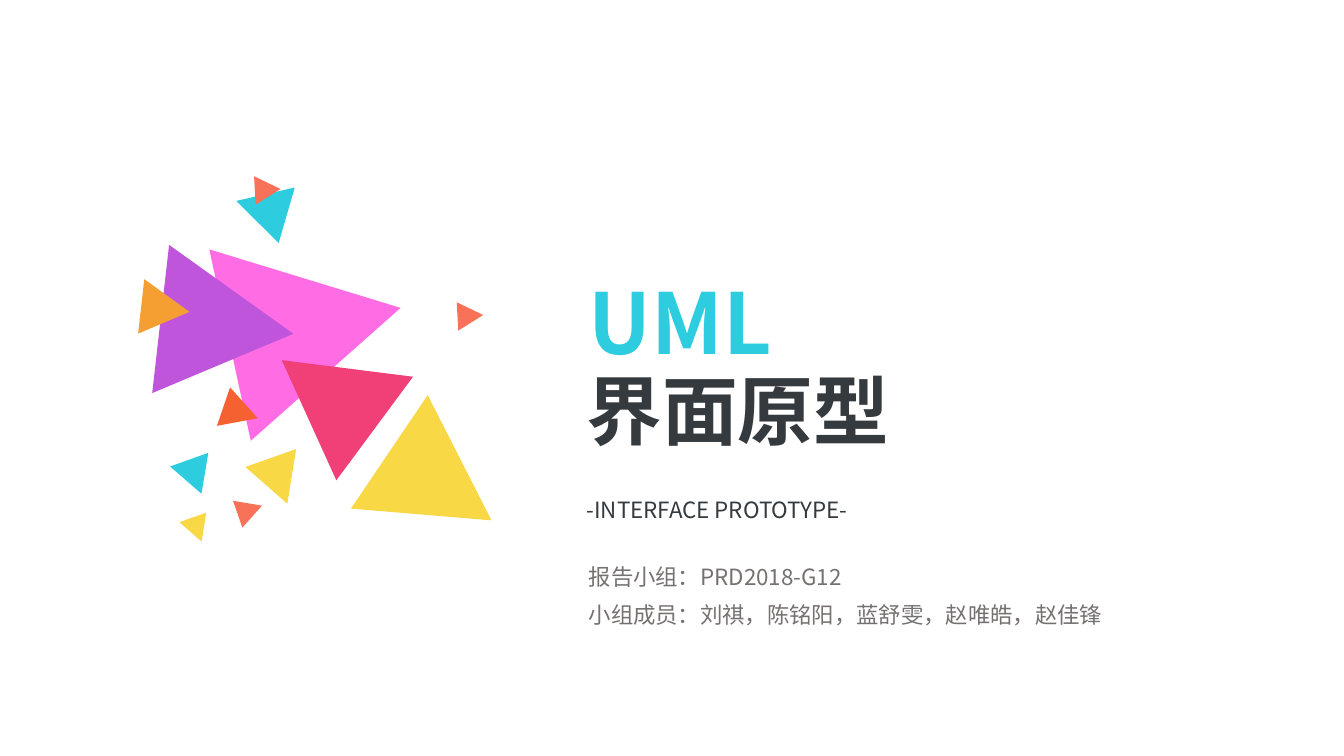
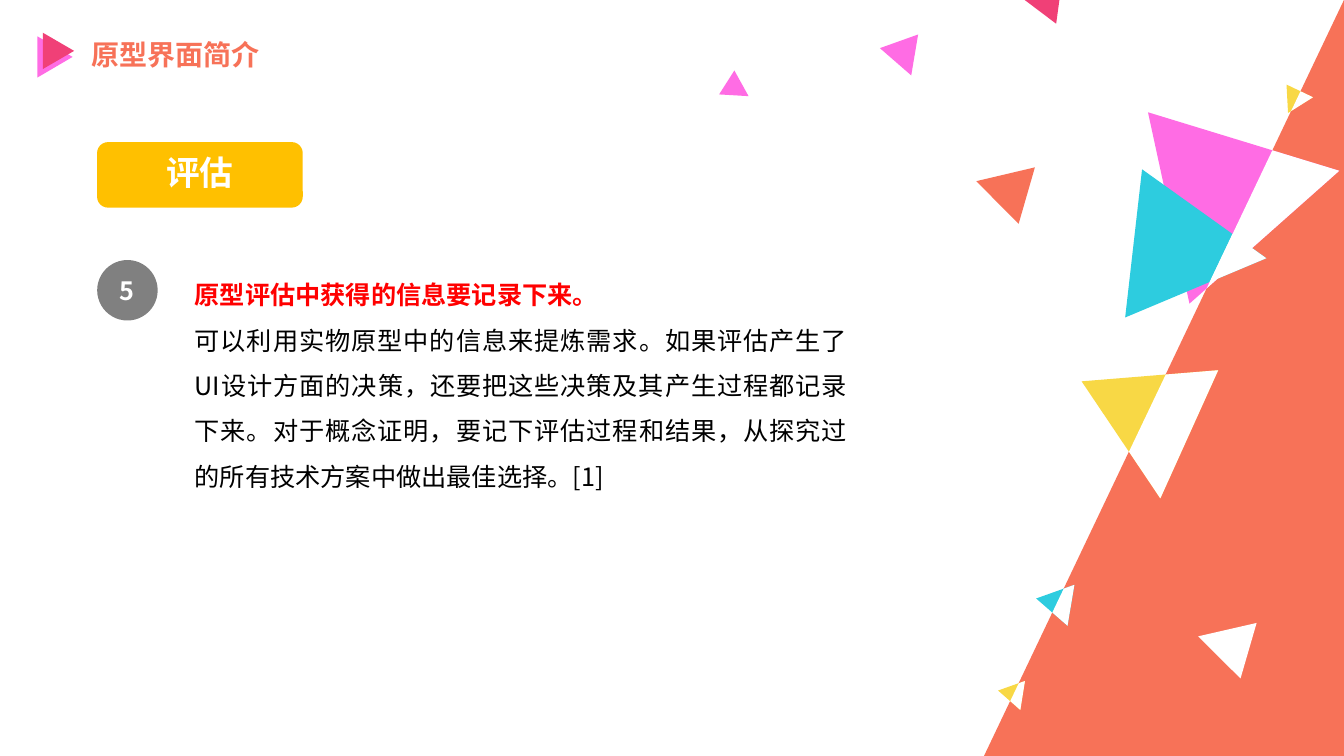
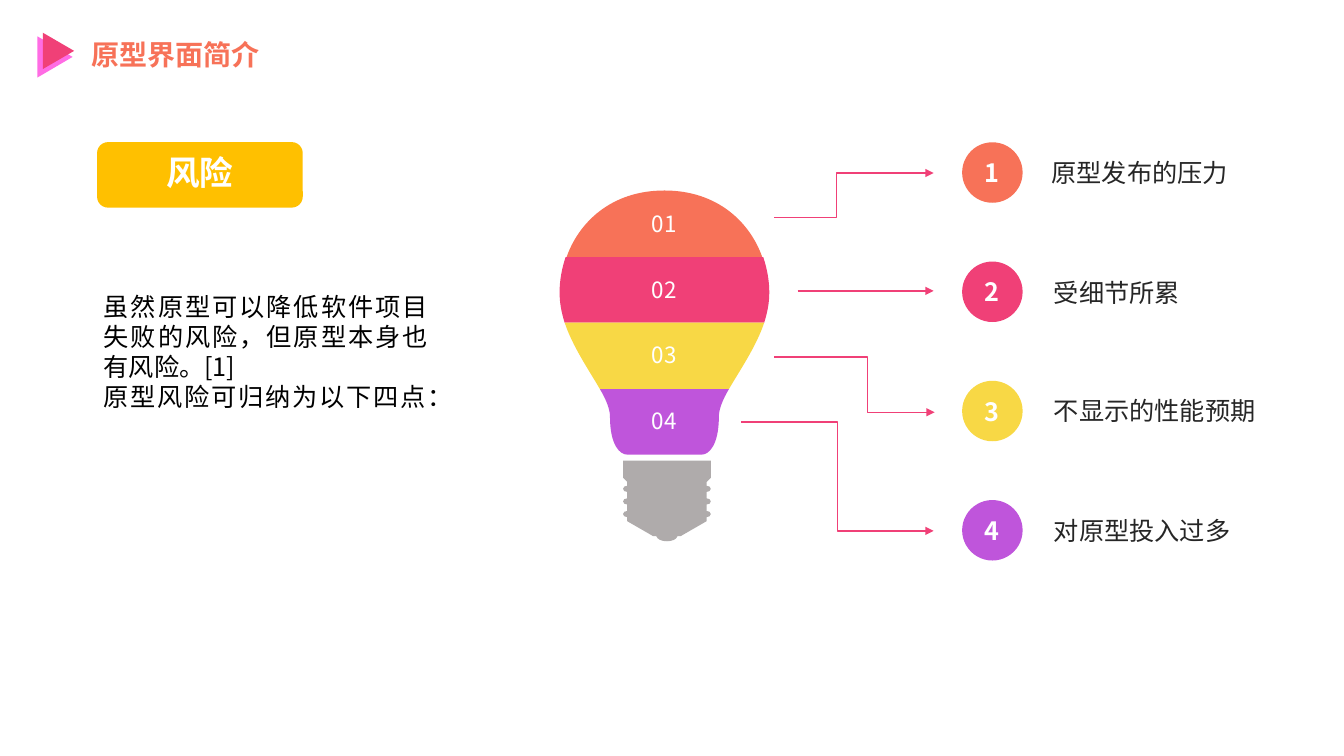
import math
from dataclasses import dataclass
from typing import NamedTuple

from lxml import etree
from pptx import Presentation, util as u
from pptx.dml.color import RGBColor
from pptx.enum import lang, shapes, text
from pptx.oxml.ns import qn

# Grid: 75 square rows fill the height of the slide
WIDTH, HEIGHT = u.Inches(13.33), u.Inches(7.5)
ROWS = 75
CELL = HEIGHT / ROWS
COLS = WIDTH / CELL

# Theme
FACE = "Noto Sans CJK SC"
WHITE, BLACK, INK, GREY = "FFFFFF", "000000", "353A3E", "767171"
CORAL, ROSE, YELLOW, VIOLET = "F77258", "F04077", "F8D845", "BF55DB"
CYAN, PINK, AMBER, ORANGE, GOLD = "2DCCDF", "FF6CE4", "F59E32", "F56130", "FFC000"
KIND, ALIGN = shapes.MSO_SHAPE, text.PP_ALIGN

Point = tuple[float, float]
Step = tuple[Point, ...]


class Box(NamedTuple):
    left: float
    top: float
    wide: float
    high: float


@dataclass
class Run:
    words: str
    size: float
    color: str
    bold: bool = False


@dataclass
class Tri:
    """One shard: the same outline in any size and turn."""
    color: str
    box: Box
    turn: float = 0

    def points(self) -> list[Point]:
        left, top, wide, high = self.box
        mid = (left + wide / 2, top + high / 2)
        return [spin((left + x * wide, top + y * high), self.turn, mid)
                for x, y in ((0, 1), (0.12, 0), (1, 0.6))]


@dataclass
class Band:
    color: str
    label: str
    spot: Point
    start: Point
    steps: list[Step]


@dataclass
class Link:
    start: Point
    end: Point
    bend: float | None = None


# Drawing tools
def cells(n: float) -> int:
    return round(n * CELL)


def rgb(code: str) -> RGBColor:
    return RGBColor.from_string(code)


def spin(p: Point, turn: float, mid: Point = (0, 0)) -> Point:
    a = math.radians(turn)
    x, y = p[0] - mid[0], p[1] - mid[1]
    return (mid[0] + x * math.cos(a) - y * math.sin(a),
            mid[1] + x * math.sin(a) + y * math.cos(a))


def paint(shape, color: str) -> None:
    shape.shadow.inherit = False
    shape.fill.solid()
    shape.fill.fore_color.rgb = rgb(color)
    shape.line.fill.background()


def write(frame, runs: list[Run], align=ALIGN.LEFT, space: float = 1) -> None:
    """Write one paragraph per run."""
    for i, run in enumerate(runs):
        para = frame.add_paragraph() if i else frame.paragraphs[0]
        para.alignment, para.line_spacing = align, space
        part = para.add_run()
        part.text = run.words
        font = part.font
        font.size, font.bold, font.name = u.Pt(run.size), run.bold, FACE
        font.color.rgb = rgb(run.color)
        font.language_id = lang.MSO_LANGUAGE_ID.SIMPLIFIED_CHINESE
        etree.SubElement(part._r.get_or_add_rPr(), qn("a:ea"), typeface=FACE)


def note(slide, box: Box, runs: list[Run], align=ALIGN.LEFT, space: float = 1) -> None:
    frame = slide.shapes.add_textbox(*map(cells, box)).text_frame
    frame.word_wrap = True
    write(frame, runs, align, space)


def block(slide, kind, box: Box, color: str, run: Run | None = None):
    shape = slide.shapes.add_shape(kind, *map(cells, box))
    paint(shape, color)
    if run:
        shape.text_frame.vertical_anchor = text.MSO_ANCHOR.MIDDLE
        write(shape.text_frame, [run], ALIGN.CENTER)
    return shape


def disc(slide, left: float, top: float, color: str, label: str) -> None:
    block(slide, KIND.OVAL, Box(left, top, 6, 6), color, Run(label, 18, WHITE, True))


def poly(slide, color: str, points: list[Point], turn: float = 0):
    """Draw an outline as an upright shape that is then turned."""
    flat = [spin(p, -turn) for p in points]
    xs, ys = zip(*flat)
    mid = ((min(xs) + max(xs)) / 2, (min(ys) + max(ys)) / 2)
    dx, dy = (b - a for a, b in zip(mid, spin(mid, turn)))
    first, *rest = [(cells(x + dx), cells(y + dy)) for x, y in flat]
    pen = slide.shapes.build_freeform(*first, scale=1)
    pen.add_line_segments(rest, close=True)
    shape = pen.convert_to_shape()
    paint(shape, color)
    shape.rotation = turn
    return shape


def mirror(start: Point, steps: list[Step], axis: float) -> list[Step]:
    """Add the right half to the left half of an outline."""
    def flip(p: Point) -> Point:
        return 2 * axis - p[0], p[1]

    ends = [start] + [step[-1] for step in steps]
    back = [tuple(map(flip, (*step[-2::-1], end))) for step, end in zip(steps, ends)]
    return steps + [(flip(ends[-1]),)] + back[::-1]


def curve(slide, color: str, start: Point, steps: list[Step]) -> None:
    """Steps of one point are lines, steps of three are cubic curves."""
    shape = poly(slide, color, [start] + [p for step in steps for p in step])
    nodes = iter(list(shape._element.iter(qn("a:lnTo"))))
    for step in steps:
        group = [next(nodes) for _ in step]
        if len(step) == 3:
            bend = etree.Element(qn("a:cubicBezTo"))
            group[0].addprevious(bend)
            for node in group:
                bend.append(node[0])
                node.getparent().remove(node)


def arrow(slide, link: Link) -> None:
    kind = shapes.MSO_CONNECTOR.STRAIGHT if link.bend is None else shapes.MSO_CONNECTOR.ELBOW
    line = slide.shapes.add_connector(kind, *map(cells, (*link.start, *link.end)))
    line.line.color.rgb, line.line.width = rgb(ROSE), u.Pt(1)
    etree.SubElement(line.line._get_or_add_ln(), qn("a:tailEnd"), type="triangle")
    props = line._element.spPr
    etree.SubElement(props, qn("a:effectLst"))
    if link.bend is not None:
        guides = props.find(qn("a:prstGeom")).get_or_add_avLst()
        etree.SubElement(guides, qn("a:gd"), name="adj1", fmla=f"val {round(link.bend * 100000)}")


def header(slide) -> None:
    note(slide, Box(8.1, 3.25, 22.2, 4.4), [Run("原型界面简介", 20, CORAL, True)])
    for box, color in ((Box(3.4, 3.9, 4.1, 3.5), PINK), (Box(4, 3.5, 3.6, 3.1), ROSE)):
        block(slide, KIND.ISOSCELES_TRIANGLE, box, color).rotation = 90


def badge(slide, words: str) -> None:
    block(slide, KIND.ROUNDED_RECTANGLE, Box(9.63, 14.1, 20.4, 6.5), GOLD)
    note(slide, Box(9.33, 14.6, 21, 5), [Run(words, 24, WHITE, True)], ALIGN.CENTER)


# Cover
COVER = [
    Tri(CYAN, Box(23.3, 18.1, 5.5, 5.7), 189.6),
    Tri(PINK, Box(21.3, 22, 18.3, 19.3), 341.3),
    Tri(VIOLET, Box(15.1, 24.3, 14, 14.7)),
    Tri(AMBER, Box(13.7, 27.7, 5.1, 5.4)),
    Tri(ORANGE, Box(21.9, 38.7, 3.8, 4), 12.4),
    Tri(CYAN, Box(17.6, 45.1, 3.8, 4), 63.9),
    Tri(YELLOW, Box(18.3, 51, 2.7, 2.8), 63.9),
    Tri(CORAL, Box(23.3, 49.1, 2.7, 2.8), 334.3),
    Tri(YELLOW, Box(25.3, 44.8, 5.1, 5.3), 63.9),
    Tri(YELLOW, Box(37.2, 40.7, 12.9, 13.5), 27.5),
    Tri(ROSE, Box(26.5, 33.5, 12.1, 12.7), 210),
    Tri(CORAL, Box(45.2, 29.8, 2.7, 2.8), 350.4),
    Tri(CORAL, Box(25.1, 17.3, 2.7, 2.8), 350.4),
]


def cover(slide) -> None:
    note(slide, Box(57.4, 26.3, 45, 11.1), [Run("UML", 60, CYAN, True)])
    note(slide, Box(57.2, 35.6, 68.2, 10.1), [Run("界面原型", 54, INK, True)])
    note(slide, Box(57.2, 48.7, 66.2, 3.7), [Run("-INTERFACE PROTOTYPE-", 16, INK)], ALIGN.JUSTIFY)
    team = ("报告小组：PRD2018-G12", "小组成员：刘祺，陈铭阳，蓝舒雯，赵唯皓，赵佳锋")
    for i, words in enumerate(team):
        note(slide, Box(57.4, 55.4 + 3.7 * i, 66.2, 3.7), [Run(words, 16, GREY)])
    for tri in COVER:
        poly(slide, tri.color, tri.points(), tri.turn)


# Evaluation: shards turn white where they cross the coral slope
FOOT = 97.6
SHARDS = [
    Tri(CORAL, Box(96.7, 16.1, 5.5, 5.8), 189.6),
    Tri(PINK, Box(114.4, 8.4, 18.3, 19.3), 341.3),
    Tri(CYAN, Box(111.6, 16.8, 14, 14.7)),
    Tri(CYAN, Box(103.5, 58.2, 3.8, 4), 63.9),
    Tri(YELLOW, Box(99.5, 67.7, 2.7, 2.8), 63.9),
    Tri(YELLOW, Box(108.7, 36.1, 12.9, 13.5), 78.8),
    Tri(YELLOW, Box(127.5, 8.2, 2.7, 2.8), 350.4),
    Tri(PINK, Box(88, 3.6, 3.8, 4), 63.9),
    Tri(ROSE, Box(102.1, -2.3, 3.8, 4), 300.6),
    Tri(WHITE, Box(118.7, 61.3, 5.5, 5.7), 189.6),
    Tri(PINK, Box(71.8, 7.3, 2.7, 2.8), 25.9),
]


def clip(points: list[Point]) -> list[Point]:
    """Keep the part of an outline that lies right of the slope."""
    def gap(p: Point) -> float:
        return p[0] - COLS + (COLS - FOOT) * p[1] / ROWS

    kept = []
    for p, q in zip(points, points[1:] + points[:1]):
        a, b = gap(p), gap(q)
        if a >= 0:
            kept.append(p)
        if a * b < 0:
            t = a / (a - b)
            kept.append((p[0] + t * (q[0] - p[0]), p[1] + t * (q[1] - p[1])))
    return kept


def review(slide) -> None:
    header(slide)
    slope = block(slide, KIND.ISOSCELES_TRIANGLE, Box(FOOT, 0, COLS - FOOT, ROWS), CORAL)
    slope.adjustments[0] = 1
    for tri in SHARDS:
        poly(slide, tri.color, tri.points(), tri.turn)
    for tri in SHARDS:
        inside = clip(tri.points())
        if inside and tri.color != WHITE:
            poly(slide, WHITE, inside, tri.turn)
    badge(slide, "评估")
    note(slide, Box(18.33, 25.76, 66.7, 28.3), [
        Run("原型评估中获得的信息要记录下来。", 18, "FF0000", True),
        Run("可以利用实物原型中的信息来提炼需求。如果评估产生了UI设计方面的决策，"
            "还要把这些决策及其产生过程都记录下来。对于概念证明，要记下评估过程和结果，"
            "从探究过的所有技术方案中做出最佳选择。[1]", 18, BLACK),
    ], ALIGN.JUSTIFY, 1.5)
    disc(slide, 9.64, 25.8, "808080", "5")


# Risks: left halves of the bulb, mirrored at its axis
BULB, BASE = 65.9, 66.15
BANDS = [
    Band(CORAL, "原型发布的压力", (103.3, 15.1), (BULB, 18.9),
         [((60.6, 18.9), (57.4, 22.1), (56.2, 25.5))]),
    Band(ROSE, "受细节所累", (103.55, 27), (56.1, 25.5),
         [((55.7, 26.7), (55.5, 27.9), (55.5, 29)), ((55.5, 30.1), (55.7, 31), (56, 32))]),
    Band(YELLOW, "不显示的性能预期", (103.55, 38.7), (56, 32),
         [((56.8, 34.4), (58.4, 36.7), (59.5, 38.6))]),
    Band(VIOLET, "对原型投入过多", (103.55, 50.6), (59.5, 38.6),
         [((60.1, 39.6), (60.5, 40.6), (60.5, 41.3)), ((60.5, 44.2), (61.5, 45.1), (62.2, 45.1))]),
]
RIBS = [step for y in (48.2, 49.45, 50.7) for step in (
    ((62.2, y),),
    ((62, y), (61.8, y + 0.1), (61.8, y + 0.3)),
    ((61.8, y + 0.5), (62, y + 0.6), (62.2, y + 0.6)),
)]
SOCKET = [((61.8, 47.4),), ((62.2, 47.8),), *RIBS,
          ((62.2, 51.7),), ((64.8, 53.2),), ((65.1, 53.2),),
          ((65.2, 53.5), (65.6, 53.7), (BASE, 53.7))]
LINKS = [
    Link((76.8, 21.6), (92.6, 17.17), 0.39),
    Link((73.5, 41.87), (92.6, 52.67), 0.5),
    Link((76.8, 35.43), (92.7, 40.9), 0.58),
    Link((79.1, 28.86), (92.6, 28.86)),
]


def risks(slide) -> None:
    header(slide)
    badge(slide, "风险")
    top = (61.8, 45.7)
    curve(slide, "AFABAB", top, mirror(top, SOCKET, BASE))
    for i, band in enumerate(BANDS):
        curve(slide, band.color, band.start, mirror(band.start, band.steps, BULB))
        spot = Box(64.6, 20.8 + 6.53 * i, 2.6, 2.7)
        frame = block(slide, KIND.RECTANGLE, spot, band.color, Run(f"{i + 1:02}", 16, WHITE)).text_frame
        frame.word_wrap = False
        frame.margin_left = frame.margin_top = frame.margin_right = frame.margin_bottom = 0
    for i, band in enumerate(BANDS):
        disc(slide, 95.43, 14.12 + 11.83 * i, band.color, str(i + 1))
    for link in LINKS:
        arrow(slide, link)
    for band in BANDS:
        note(slide, Box(*band.spot, 29, 4), [Run(band.label, 18, "262626")])
    note(slide, Box(9.3, 28.36, 34.14, 13.1), [
        Run("虽然原型可以降低软件项目失败的风险，但原型本身也有风险。[1]", 18, BLACK),
        Run("原型风险可归纳为以下四点：", 18, BLACK),
    ], ALIGN.JUSTIFY)


def main() -> None:
    deck = Presentation()
    deck.slide_width, deck.slide_height = WIDTH, HEIGHT
    for draw in (cover, review, risks):
        draw(deck.slides.add_slide(deck.slide_layouts[6]))
    deck.save("out.pptx")


if __name__ == "__main__":
    main()
